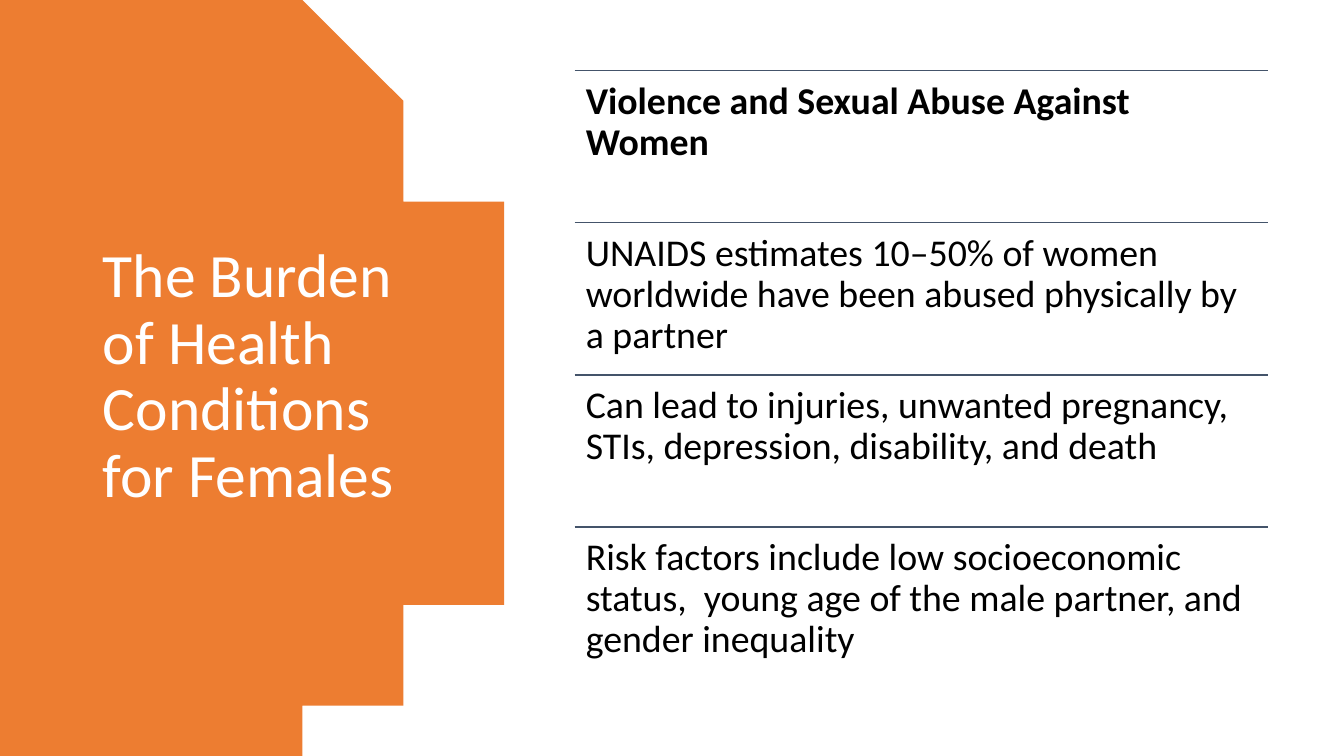
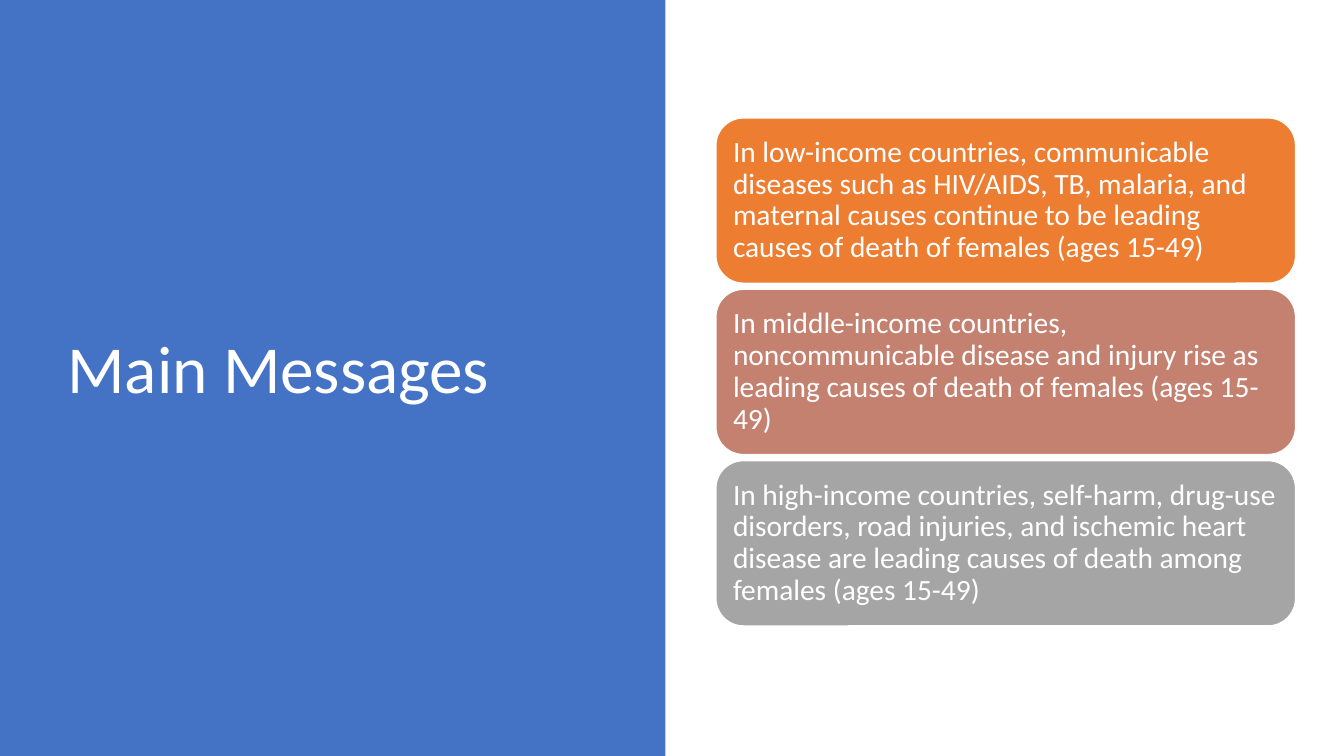
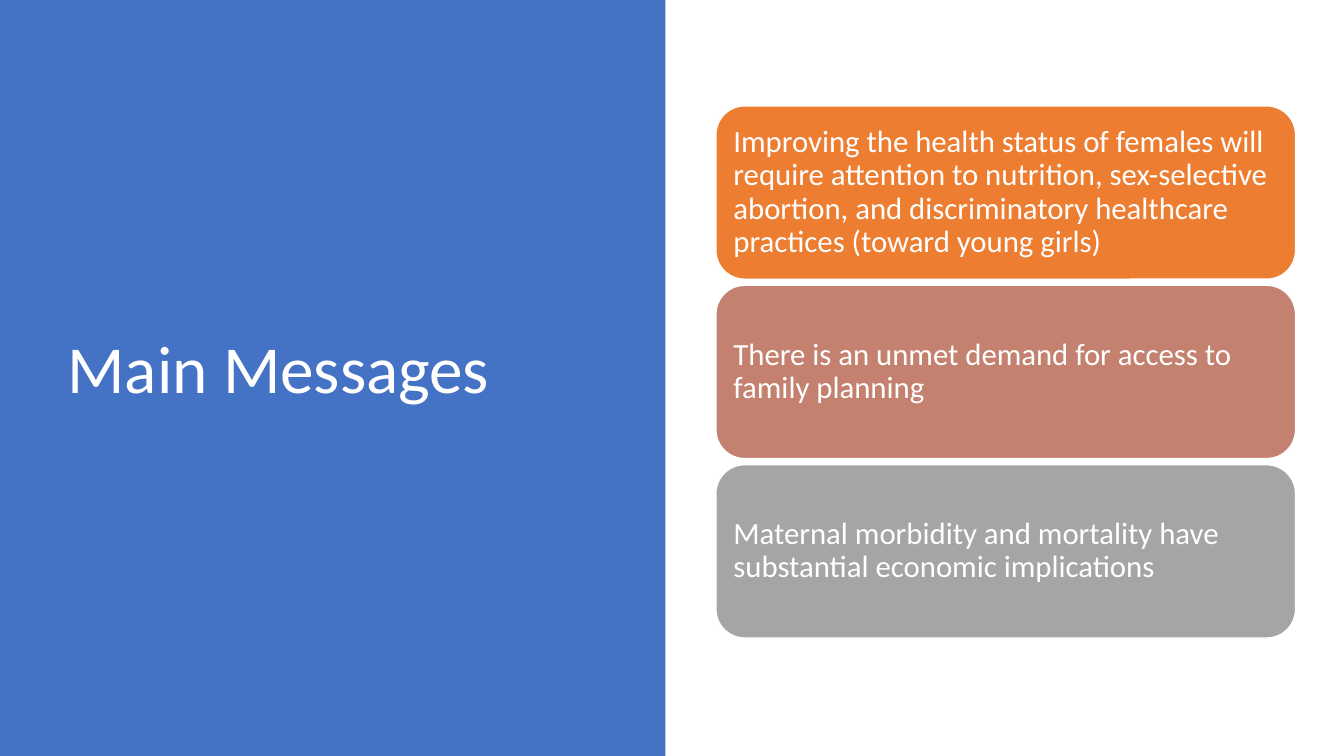
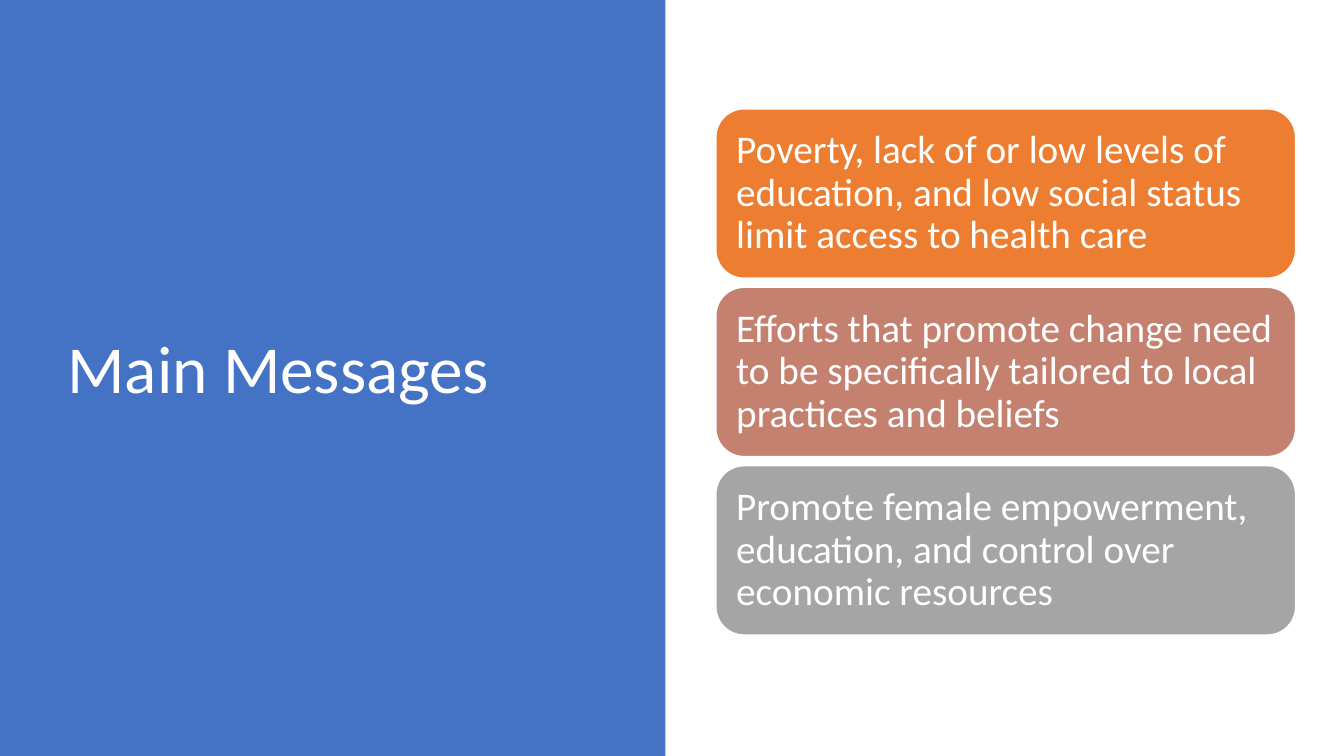
from math import atan2, cos, sin

from lxml.etree import SubElement
from pptx import Presentation
from pptx.dml.color import RGBColor
from pptx.enum.shapes import MSO_CONNECTOR, MSO_SHAPE
from pptx.enum.text import MSO_ANCHOR, MSO_AUTO_SIZE, PP_ALIGN
from pptx.oxml.ns import qn
from pptx.util import Inches, Pt

COLORS = {
    "orange": "ED7D31",
    "rose": "C48170",
    "gray": "A5A5A5",
    "blue": "4472C4",
    "slate": "44546A",
    "white": "FFFFFF",
    "black": "000000",
}
FONT = "Calibri"
SLIDE_WIDTH, SLIDE_HEIGHT = 13.33, 7.5
TITLE_ONLY = 5

# Text of the slides
BURDEN_POINTS = [
    "Violence and Sexual Abuse Against Women",
    "UNAIDS estimates 10–50% of women worldwide have been abused physically by a partner",
    "Can lead to injuries, unwanted pregnancy, STIs, depression, disability, and death",
    "Risk factors include low socioeconomic status,  young age of the male partner, "
    "and gender inequality",
]
DISEASE_MESSAGES = [
    "In low-income countries, communicable diseases such as HIV/AIDS, TB, malaria, and "
    "maternal causes continue to be leading causes of death of females (ages 15-49)",
    "In middle-income countries, noncommunicable disease and injury rise as leading "
    "causes of death of females (ages 15-49)",
    "In high-income countries, self-harm, drug-use disorders, road injuries, and ischemic "
    "heart disease are leading causes of death among females (ages 15-49)",
]
HEALTH_MESSAGES = [
    "Improving the health status of females will require attention to nutrition, "
    "sex-selective abortion, and discriminatory healthcare practices (toward young girls)",
    "There is an unmet demand for access to family planning",
    "Maternal morbidity and mortality have substantial economic implications",
]
CHANGE_MESSAGES = [
    "Poverty, lack of or low levels of education, and low social status limit access "
    "to health care",
    "Efforts that promote change need to be specifically tailored to local practices "
    "and beliefs",
    "Promote female empowerment, education, and control over economic resources",
]


def rgb(name):
    return RGBColor.from_string(COLORS[name])


def fill_shape(shape, color, outline=None):
    shape.shadow.inherit = False
    shape.fill.solid()
    shape.fill.fore_color.rgb = rgb(color)
    if outline:
        shape.line.color.rgb = rgb(outline)
        shape.line.width = Pt(1)
    else:
        shape.line.fill.background()


def write_text(shape, text, size, color, anchor, inset=None, bold=False):
    frame = shape.text_frame
    frame.text = text
    frame.word_wrap = True
    frame.auto_size = MSO_AUTO_SIZE.NONE
    frame.vertical_anchor = anchor
    if inset is not None:
        frame.margin_left = frame.margin_right = Inches(inset)
        frame.margin_top = frame.margin_bottom = Inches(inset)
    para = frame.paragraphs[0]
    para.alignment = PP_ALIGN.LEFT
    para.line_spacing = 0.9
    font = para.runs[0].font
    font.name, font.size, font.bold = FONT, Pt(size), bold
    font.color.rgb = rgb(color)


def add_title(page, text, size, left, top, width, height):
    """Place the title in front of the panel already on the page."""
    title = page.shapes.title
    title.left, title.top = Inches(left), Inches(top)
    title.width, title.height = Inches(width), Inches(height)
    write_text(title, text, size, "white", MSO_ANCHOR.MIDDLE)
    title.element.getparent().append(title.element)


def add_round_panel(page):
    """Fill the left side up to a circular arc that bulges to the right."""
    radius, center_x, center_y = 4.4, 0.53, SLIDE_HEIGHT / 2
    edge_x = 2.83
    half_angle = atan2(center_y, edge_x - center_x)
    steps = 80
    angles = [half_angle * (2 * step / steps - 1) for step in range(steps + 1)]
    arc = [(center_x + radius * cos(angle), center_y + radius * sin(angle))
           for angle in angles]
    builder = page.shapes.build_freeform(0, 0, scale=Inches(1))
    builder.add_line_segments([(edge_x, 0), *arc[1:-1],
                               (edge_x, SLIDE_HEIGHT), (0, SLIDE_HEIGHT)])
    fill_shape(builder.convert_to_shape(), "orange")


def add_rule(page, left, top, width):
    rule = page.shapes.add_connector(MSO_CONNECTOR.STRAIGHT, Inches(left), Inches(top),
                                     Inches(left + width), Inches(top))
    rule.line.color.rgb = rgb("slate")
    rule.line.width = Pt(1)
    SubElement(rule.element.spPr, qn("a:effectLst"))


def add_ruled_list(page, points):
    left, top, width, row_height = 5.7, 0.7, 6.88, 1.51
    for index, point in enumerate(points):
        row_top = top + index * row_height
        add_rule(page, left, row_top, width)
        box = page.shapes.add_textbox(Inches(left), Inches(row_top),
                                      Inches(width), Inches(row_height))
        write_text(box, point, 27, "black", MSO_ANCHOR.TOP, inset=0.11, bold=index == 0)


def add_cards(page, messages, top, height, pitch, size, inset):
    for index, (message, color) in enumerate(zip(messages, ("orange", "rose", "gray"))):
        card = page.shapes.add_shape(MSO_SHAPE.ROUNDED_RECTANGLE, Inches(7.1),
                                     Inches(top + index * pitch),
                                     Inches(5.75), Inches(height))
        fill_shape(card, color, outline="white")
        write_text(card, message, size, "white", MSO_ANCHOR.MIDDLE, inset)


def add_burden_page(deck):
    page = deck.slides.add_slide(deck.slide_layouts[TITLE_ONLY])
    add_round_panel(page)
    add_title(page, "The Burden of Health Conditions for Females", 44,
              0.92, 0.7, 3.23, 6.09)
    add_ruled_list(page, BURDEN_POINTS)


def add_message_page(deck, messages, **card_layout):
    page = deck.slides.add_slide(deck.slide_layouts[TITLE_ONLY])
    panel = page.shapes.add_shape(MSO_SHAPE.RECTANGLE, 0, 0,
                                  Inches(6.6), Inches(SLIDE_HEIGHT))
    fill_shape(panel, "blue")
    add_title(page, "Main Messages", 48, 0.57, 0.68, 5.67, 6.02)
    add_cards(page, messages, **card_layout)


def main():
    deck = Presentation()
    deck.slide_width, deck.slide_height = Inches(SLIDE_WIDTH), Inches(SLIDE_HEIGHT)
    add_burden_page(deck)
    add_message_page(deck, DISEASE_MESSAGES,
                     top=1.17, height=1.64, pitch=1.7, size=21, inset=0.09)
    add_message_page(deck, HEALTH_MESSAGES,
                     top=1.05, height=1.72, pitch=1.78, size=22, inset=0.09)
    add_message_page(deck, CHANGE_MESSAGES,
                     top=1.08, height=1.68, pitch=1.77, size=28, inset=0.12)
    deck.save("out.pptx")


if __name__ == "__main__":
    main()
